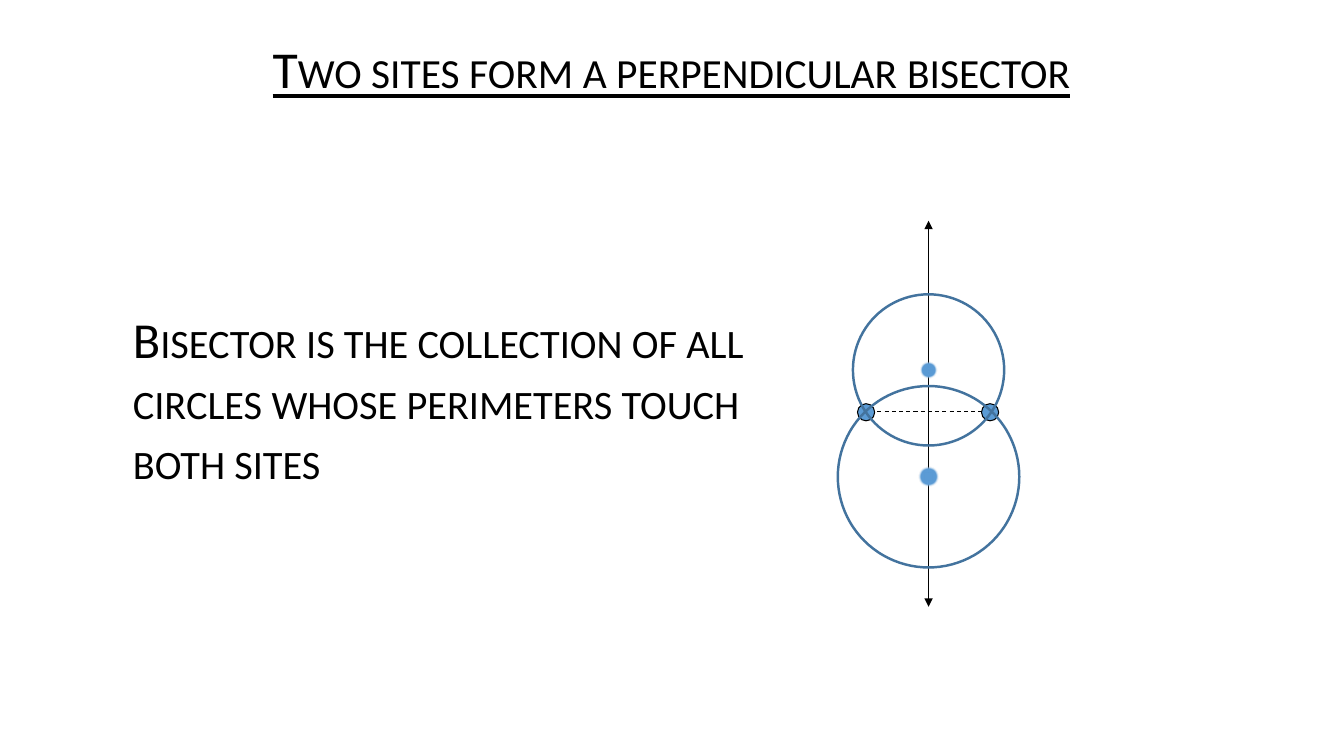
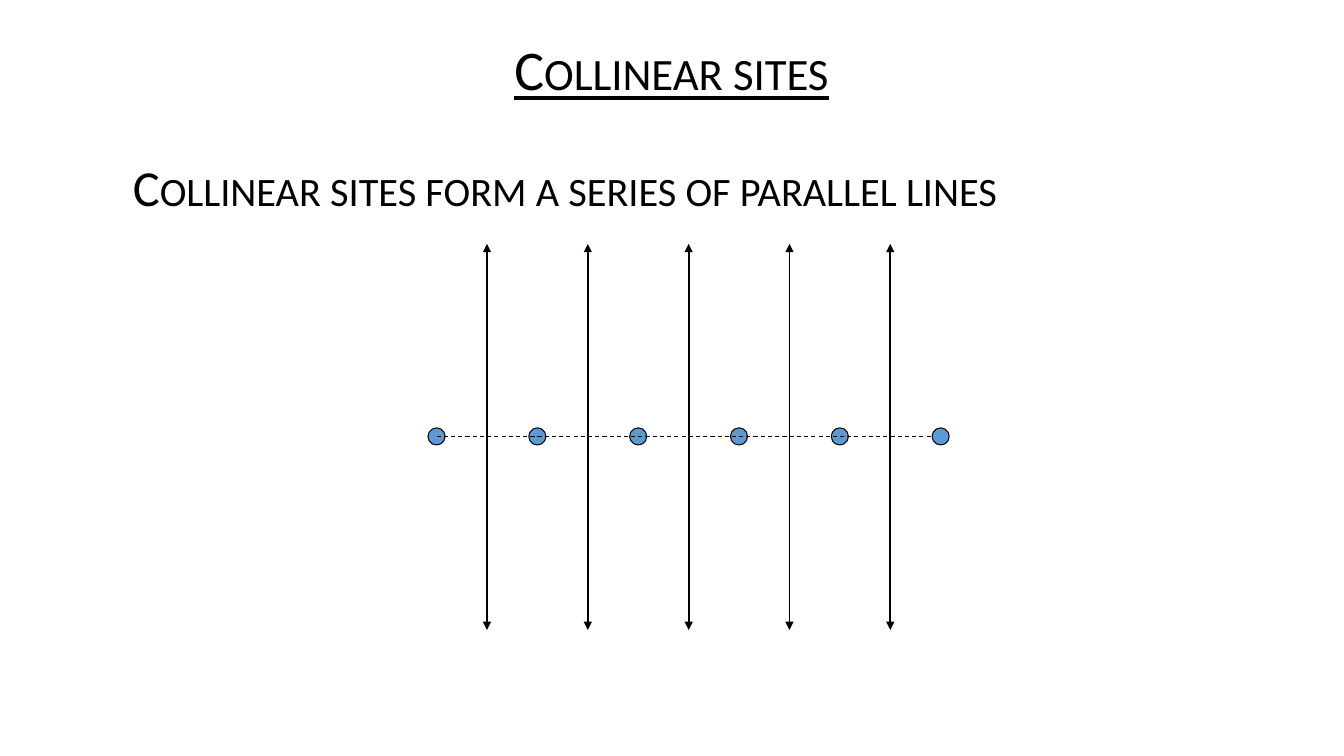
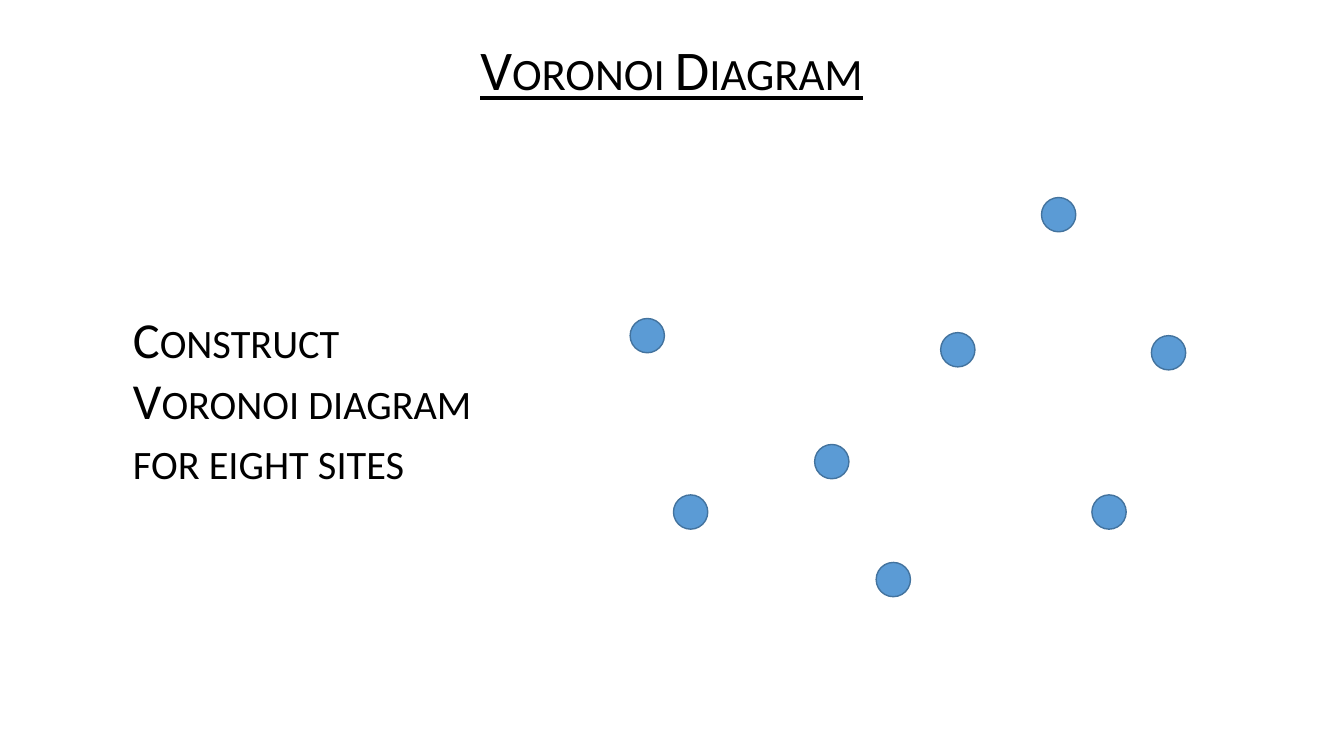
from lxml.etree import SubElement
from pptx import Presentation
from pptx.dml.color import RGBColor
from pptx.enum.dml import MSO_LINE
from pptx.enum.shapes import MSO_CONNECTOR, MSO_SHAPE
from pptx.enum.text import MSO_ANCHOR, PP_ALIGN
from pptx.oxml import parse_xml
from pptx.oxml.ns import nsdecls, qn
from pptx.util import Inches, Pt

WIDTH, HEIGHT = 13.33, 7.5
FONT = "Calibri"
BLACK, SITE_BLUE, EDGE_BLUE, PALE_BLUE = "000000", "5B9BD5", "43739E", "B5D2EC"
BODY_LEFT, BODY_TOP, BODY_HEIGHT = 0.72, 1.32, 5.28
SITE_SIZE = 0.17


def rgb(value):
    return RGBColor.from_string(value)


def add_text(s, text, box, size):
    """Add one paragraph of small capitals, centred vertically in its box."""
    tf = s.shapes.add_textbox(*map(Inches, box)).text_frame
    tf.word_wrap = True
    tf.vertical_anchor = MSO_ANCHOR.MIDDLE
    p = tf.paragraphs[0]
    r = p.add_run()
    r.text = text
    r.font.name, r.font.size = FONT, Pt(size)
    r.font.color.rgb = rgb(BLACK)
    r.font._element.set("cap", "small")
    return p, r


def add_title(s, text, size=40):
    p, r = add_text(s, text, (1.74, 0.29, 9.84, 0.85), size)
    p.alignment = PP_ALIGN.CENTER
    p.line_spacing = 0.9
    r.font.underline = True


def add_body(s, text, width, top=BODY_TOP, height=BODY_HEIGHT):
    p, _ = add_text(s, text, (BODY_LEFT, top, width, height), 36)
    p._p.get_or_add_pPr().set("marL", str(Inches(0.5)))


def add_circle(s, x, y, size, line=BLACK, weight=0.75):
    """Add a blue disc centred on x, y."""
    sp = s.shapes.add_shape(MSO_SHAPE.OVAL, Inches(x - size / 2), Inches(y - size / 2),
                            Inches(size), Inches(size))
    sp.shadow.inherit = False
    sp.fill.solid()
    sp.fill.fore_color.rgb = rgb(SITE_BLUE)
    sp.line.color.rgb = rgb(line)
    sp.line.width = Pt(weight)
    return sp


def add_centred_circle(s, x, y, size):
    """Add a clear circle whose radial fill leaves only a dot at its centre."""
    sp = add_circle(s, x, y, size, EDGE_BLUE, 1.75)
    solid = sp._element.spPr.find(qn("a:solidFill"))
    sp._element.spPr.replace(solid, parse_xml(
        f'<a:gradFill {nsdecls("a")} rotWithShape="1"><a:gsLst>'
        f'<a:gs pos="0"><a:srgbClr val="{SITE_BLUE}"/></a:gs>'
        f'<a:gs pos="6000"><a:srgbClr val="{SITE_BLUE}"/></a:gs>'
        f'<a:gs pos="8000"><a:srgbClr val="{PALE_BLUE}"><a:alpha val="0"/></a:srgbClr></a:gs>'
        '</a:gsLst><a:path path="circle">'
        '<a:fillToRect l="50000" t="50000" r="50000" b="50000"/></a:path></a:gradFill>'))


def add_line(s, x1, y1, x2, y2, weight):
    line = s.shapes.add_connector(MSO_CONNECTOR.STRAIGHT, *map(Inches, (x1, y1, x2, y2)))
    line.line.color.rgb = rgb(BLACK)
    line.line.width = Pt(weight)
    SubElement(line._element.spPr, qn("a:effectLst"))
    return line


def add_link(s, x1, x2, y):
    add_line(s, x1, y, x2, y, 0.75).line.dash_style = MSO_LINE.DASH


def add_bisector(s, x, top):
    """Add a vertical line with an arrowhead at both ends."""
    ln = add_line(s, x, top, x, top + 3.83, 1.25).line._get_or_add_ln()
    for end in ("a:headEnd", "a:tailEnd"):
        SubElement(ln, qn(end), type="triangle")


def two_sites(s):
    add_body(s, "Bisector is the collection of all circles whose perimeters touch both sites", 7.36)
    add_title(s, "Two sites form a perpendicular bisector", 37)
    axis = 9.21
    add_link(s, 8.63, 9.73, 4.08)
    add_bisector(s, axis, 2.19)
    for x in (9.82, 8.59):
        add_circle(s, x, 4.09, SITE_SIZE)
    for y, size in ((3.67, 1.5), (4.73, 1.8)):
        add_centred_circle(s, axis, y, size)


def collinear_sites(s):
    add_body(s, "Collinear sites form a series of parallel lines", 11.89, 1.49, 0.71)
    add_title(s, "Collinear sites")
    y, pitch = 4.33, 1
    sites = [4.33 + pitch * i for i in range(6)]
    for x in sites[:-1]:
        add_circle(s, x, y, SITE_SIZE)
    for x in sites[:-1]:
        add_link(s, x, x + pitch, y)
        add_bisector(s, x + pitch / 2, 2.42)
    add_circle(s, sites[-1], y, SITE_SIZE)


def voronoi_diagram(s):
    add_body(s, "Construct Voronoi diagram for eight sites", 4.48)
    add_title(s, "Voronoi Diagram")
    sites = ((6.42, 3.33), (6.85, 5.08), (10.5, 2.13), (11.59, 3.5),
             (9.5, 3.47), (11, 5.08), (8.86, 5.75), (8.25, 4.58))
    for x, y in sites:
        add_circle(s, x, y, 2 * SITE_SIZE, EDGE_BLUE, 1)


def main():
    prs = Presentation()
    prs.slide_width, prs.slide_height = Inches(WIDTH), Inches(HEIGHT)
    for build in (two_sites, collinear_sites, voronoi_diagram):
        build(prs.slides.add_slide(prs.slide_layouts[6]))
    prs.save("out.pptx")


if __name__ == "__main__":
    main()
